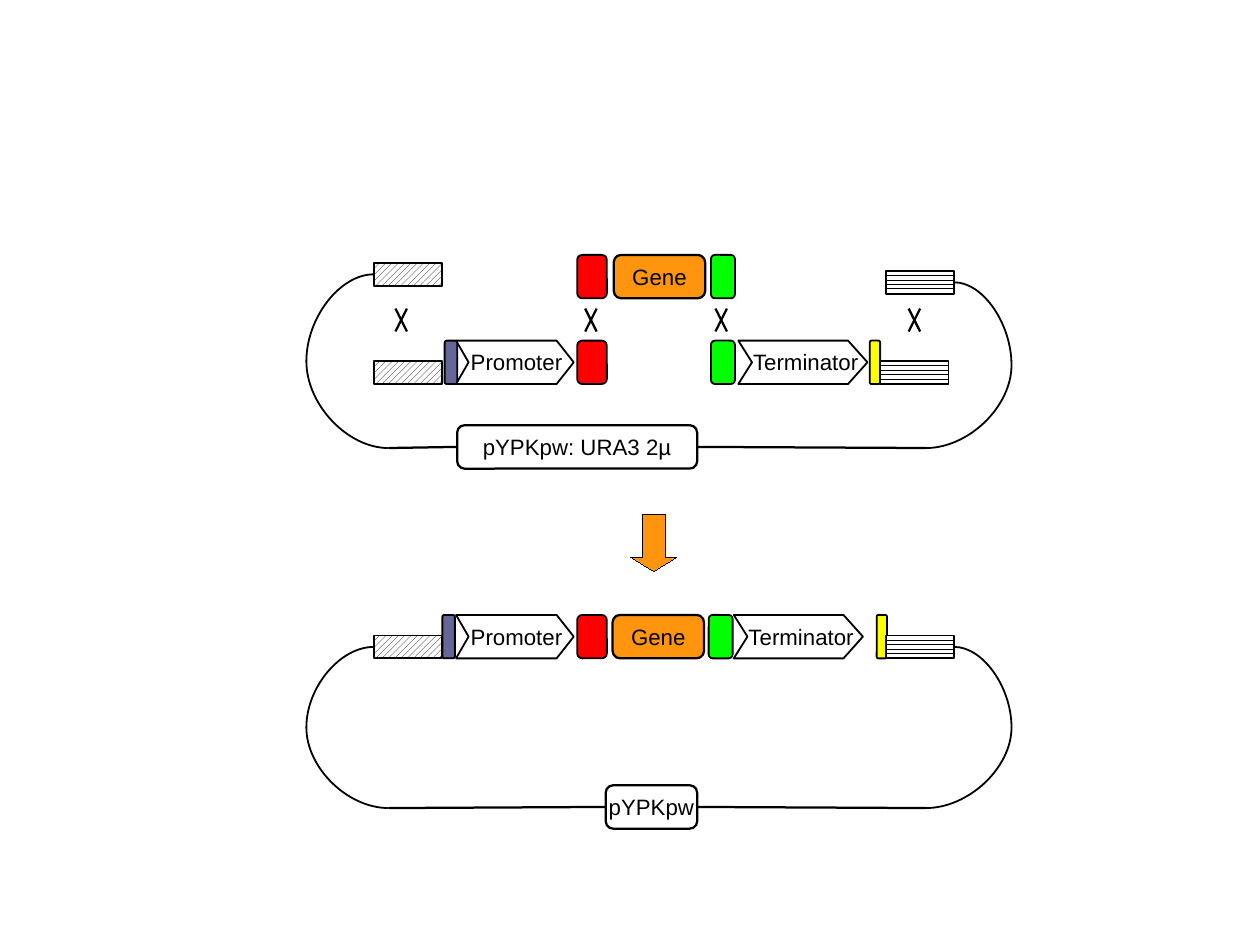
"""Draw how a gene joins a plasmid, before and after."""
from lxml import etree
from pptx import Presentation
from pptx.dml.color import RGBColor
from pptx.enum.dml import MSO_PATTERN
from pptx.enum.shapes import MSO_CONNECTOR, MSO_SHAPE
from pptx.enum.text import MSO_ANCHOR, MSO_AUTO_SIZE, PP_ALIGN
from pptx.oxml.ns import qn
from pptx.util import Inches, Pt

BLACK = RGBColor(0x00, 0x00, 0x00)
WHITE = RGBColor(0xFF, 0xFF, 0xFF)
RED = RGBColor(0xFF, 0x00, 0x00)
GREEN = RGBColor(0x00, 0xFF, 0x00)
YELLOW = RGBColor(0xFF, 0xFF, 0x00)
PURPLE = RGBColor(0x66, 0x66, 0x99)
ORANGE = RGBColor(0xFF, 0x95, 0x0E)

RECT = MSO_SHAPE.RECTANGLE
ROUND = MSO_SHAPE.ROUNDED_RECTANGLE
DOWN = MSO_SHAPE.DOWN_ARROW
LINE = MSO_CONNECTOR.STRAIGHT
CURVE = MSO_CONNECTOR.CURVE
SLANT = MSO_PATTERN.WIDE_UPWARD_DIAGONAL
STRIPE = MSO_PATTERN.HORIZONTAL
LEFT = PP_ALIGN.LEFT
CENTER = PP_ALIGN.CENTER
TOP = MSO_ANCHOR.TOP
MIDDLE = MSO_ANCHOR.MIDDLE
NO_FIT = MSO_AUTO_SIZE.NONE
GROW = MSO_AUTO_SIZE.SHAPE_TO_FIT_TEXT

HAIR, THIN, THICK = 0.01, 1.13, 1.42
TALL = 0.38


def write(shape, text, align=CENTER, anchor=MIDDLE, inset=(0.11, 0.06), fit=NO_FIT):
    """Put one line of black text in a shape."""
    frame = shape.text_frame
    frame.margin_left = frame.margin_right = Inches(inset[0])
    frame.margin_top = frame.margin_bottom = Inches(inset[1])
    frame.word_wrap = False
    frame.auto_size = fit
    frame.vertical_anchor = anchor
    para = frame.paragraphs[0]
    para.alignment = align
    run = para.add_run()
    run.text = text
    run.font.name = "Arial"
    run.font.size = Pt(14)
    run.font.color.rgb = BLACK


def edge(shape, width):
    """Give a shape a black outline and no shadow."""
    shape.shadow.inherit = False
    shape.line.color.rgb = BLACK
    shape.line.width = Pt(width)


def block(shapes, kind, left, top, wide, high, fill=None, width=THIN):
    """Add a preset shape with a plain fill or none."""
    shape = shapes.add_shape(kind, *map(Inches, (left, top, wide, high)))
    edge(shape, width)
    if fill is None:
        shape.fill.background()
    else:
        shape.fill.solid()
        shape.fill.fore_color.rgb = fill
    return shape


def pill(shapes, left, top, wide, fill=None, text=None):
    """Add a rounded box, with a label if text is given."""
    width = THICK if text else THIN
    shape = block(shapes, ROUND, left, top, wide, TALL, fill, width)
    shape.adjustments[0] = 0.17
    if text:
        write(shape, text)


def hatch(shapes, left, top, pattern):
    """Add a box filled with a black and white pattern."""
    fill = block(shapes, RECT, left, top, 0.6, 0.2).fill
    fill.patterned()
    fill.pattern = pattern
    fill.fore_color.rgb = BLACK
    fill.back_color.rgb = WHITE


def link(shapes, start, end, width=THICK, side=None):
    """Join two points, curving out to x = side if given."""
    kind = LINE if side is None else CURVE
    line = shapes.add_connector(kind, *map(Inches, start + end))
    line.line.color.rgb = BLACK
    line.line.width = Pt(width)
    props = line._element.spPr
    etree.SubElement(props, qn("a:effectLst"))
    if side is not None:
        ratio = (side - start[0]) / (end[0] - start[0])
        guides = props.find(qn("a:prstGeom")).find(qn("a:avLst"))
        guide = etree.SubElement(guides, qn("a:gd"))
        guide.set("name", "adj1")
        guide.set("fmla", f"val {round(ratio * 100000)}")


def cross(shapes, left):
    """Add an X that marks a crossover."""
    for head, foot in ((2.7, 2.9), (2.9, 2.7)):
        link(shapes, (left, head), (left + 0.1, foot))


def notch(shapes, text, left, top, body, tip, dent, label):
    """Add a notched arrow outline with its label as a group."""
    group = shapes.add_group_shape().shapes
    mid, foot = top + TALL / 2, top + TALL
    points = [(left + body, top), (left + tip, mid), (left + body, foot),
              (left, foot), (left + dent, mid)]
    path = group.build_freeform(Inches(left), Inches(top))
    path.add_line_segments([(Inches(x), Inches(y)) for x, y in points])
    shape = path.convert_to_shape()
    shape.fill.background()
    edge(shape, THIN)
    box = group.add_textbox(Inches(left + 0.03), Inches(top + 0.02), Inches(label), Inches(0.36))
    write(box, text, align=LEFT, anchor=TOP, inset=(0.1, 0.05), fit=GROW)


def row(shapes, top, term, strip, tail, green, purple):
    """Add one row of parts from promoter to terminator."""
    notch(shapes, "Promoter", 3.99, top, 0.88, 1.03, 0.11, 1.1)
    notch(shapes, "Terminator", term, top, 0.96, 1.13, 0.12, 1.21)
    pill(shapes, purple, top, 0.11, PURPLE)
    pill(shapes, 5.05, top, 0.26, RED)
    pill(shapes, green, top, 0.21, GREEN)
    pill(shapes, strip, top, 0.09, YELLOW)
    hatch(shapes, 3.27, top + 0.18, SLANT)
    hatch(shapes, tail, top + 0.18, STRIPE)


def ring(shapes, left, right, base, name, start):
    """Add the plasmid backbone with its name box."""
    link(shapes, (3.27, left), (3.4, base), THIN, side=2.68)
    link(shapes, (8.35, right), (8.1, base), THIN, side=8.85)
    pill(shapes, start, base - 0.2, 6.1 - start, text=name)
    link(shapes, (start, base - 0.01), (3.4, base))
    link(shapes, (8.1, base), (6.1, base - 0.01))


def main():
    """Build and save the slide."""
    deck = Presentation()
    deck.slide_width = Inches(28 / 2.54)
    deck.slide_height = Inches(21 / 2.54)
    slide = deck.slides.add_slide(deck.slide_layouts[6])
    shapes = slide.shapes

    row(shapes, 2.98, term=6.46, strip=7.61, tail=7.7, green=6.22, purple=3.89)
    hatch(shapes, 3.27, 2.3, SLANT)
    hatch(shapes, 7.75, 2.37, STRIPE)
    pill(shapes, 5.05, 2.23, 0.26, RED)
    pill(shapes, 6.22, 2.23, 0.21, GREEN)
    pill(shapes, 5.37, 2.23, 0.8, ORANGE, "Gene")
    for left in (3.46, 5.12, 6.26, 7.95):
        cross(shapes, left)
    ring(shapes, 2.4, 2.47, 3.92, "pYPKpw: URA3 2µ", 4)

    arrow = block(shapes, DOWN, 5.52, 4.5, 0.4, 0.5, ORANGE, HAIR)
    arrow.adjustments[1] = 0.31

    row(shapes, 5.38, term=6.42, strip=7.67, tail=7.75, green=6.2, purple=3.87)
    pill(shapes, 5.36, 5.38, 0.8, ORANGE, "Gene")
    ring(shapes, 5.66, 5.66, 7.07, "pYPKpw", 5.3)
    deck.save("out.pptx")


if __name__ == "__main__":
    main()
